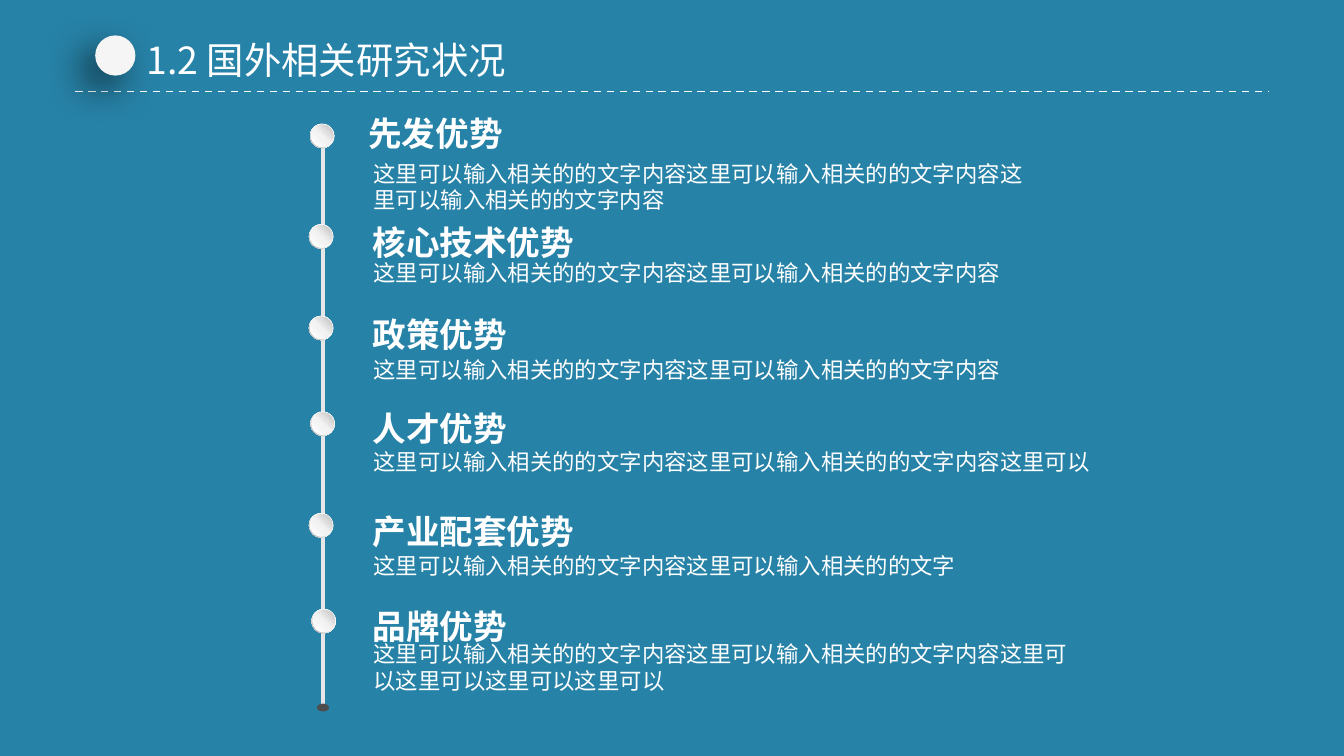
"""Build the slide on the state of research abroad, with a timeline of six advantages."""
from copy import deepcopy

from lxml import etree
from pptx import Presentation
from pptx.dml.color import RGBColor
from pptx.enum.dml import MSO_LINE
from pptx.enum.shapes import MSO_CONNECTOR, MSO_SHAPE
from pptx.enum.text import MSO_AUTO_SIZE
from pptx.oxml.ns import qn
from pptx.util import Cm, Pt

OVAL, DONUT = MSO_SHAPE.OVAL, MSO_SHAPE.DONUT
STRAIGHT, DASH = MSO_CONNECTOR.STRAIGHT, MSO_LINE.DASH
GROW = MSO_AUTO_SIZE.SHAPE_TO_FIT_TEXT
FONT = "Noto Sans CJK SC"
COLORS = {
    "background": "2782A7", "white": "FFFFFF", "dot": "F5F5F5", "axis": "E7E6E6",
    "end": "4D4D4D", "light": "F2F2F2", "ring": "A6A6A6", "ball": "BFBFBF", "shadow": "000000",
}
RGB = {name: RGBColor.from_string(value) for name, value in COLORS.items()}
PHRASE = "这里可以输入相关的的文字内容"


def add_text(text, x, y, w, h, size, bold=False, wrap=False, inset=(0.18, 0.1)):
    tf = s.shapes.add_textbox(Cm(x), Cm(y), Cm(w), Cm(h)).text_frame
    tf.word_wrap, tf.auto_size = wrap, GROW
    tf.margin_left = tf.margin_right = Cm(inset[0])
    tf.margin_top = tf.margin_bottom = Cm(inset[1])
    p = tf.paragraphs[0]
    p.text = text
    font = p.font
    font.size, font.bold, font.name = Pt(size), bold, FONT
    font.color.rgb = RGB["white"]
    latin = p._p.pPr.find(".//" + qn("a:latin"))
    latin.addnext(latin.makeelement(qn("a:ea"), {"typeface": FONT}))


def add_round(shapes, kind, x, y, w, h, colors, middle=0, angle=0):
    sp = shapes.add_shape(kind, Cm(x), Cm(y), Cm(w), Cm(h))
    sp.shadow.inherit = False
    sp.line.fill.background()
    if len(colors) == 1:
        sp.fill.solid()
        sp.fill.fore_color.rgb = RGB[colors[0]]
        return sp
    sp.fill.gradient()
    sp.fill.gradient_angle = angle
    stops = sp._element.spPr.find(".//" + qn("a:gsLst"))
    stops.append(deepcopy(stops[-1]))
    for stop, color, position in zip(sp.fill.gradient_stops, colors, (0, middle, 1)):
        stop.color.rgb, stop.position = RGB[color], position
    return sp


prs = Presentation()
prs.slide_width, prs.slide_height = Cm(25.4), Cm(14.29)
s = prs.slides.add_slide(prs.slide_layouts[6])
s.background.fill.solid()
s.background.fill.fore_color.rgb = RGB["background"]

lines = [
    (1.42, 1.73, 23.98, 1.73, "white", 1, DASH),
    (6.1, 2.36, 6.1, 13.31, "axis", 2.25, None),
]
for x1, y1, x2, y2, color, width, dash in lines:
    line = s.shapes.add_connector(STRAIGHT, Cm(x1), Cm(y1), Cm(x2), Cm(y2))
    line.line.color.rgb = RGB[color]
    line.line.width = Pt(width)
    line.line.dash_style = dash
    etree.SubElement(line._element.spPr, qn("a:effectLst"))

dot = add_round(s.shapes, OVAL, 1.8, 0.67, 0.76, 0.76, ["dot"])
effects = dot._element.spPr.find(qn("a:effectLst"))
shadow = etree.SubElement(effects, qn("a:outerShdw"), blurRad=str(Pt(20)), dist=str(Pt(10)),
                          dir="8100000", algn="tr", rotWithShape="0")
shade = etree.SubElement(shadow, qn("a:srgbClr"), val=COLORS["shadow"])
etree.SubElement(shade, qn("a:alpha"), val="60000")
add_text("1.2 国外相关研究状况", 2.52, 0.58, 7.57, 1.12, 20, inset=(0.25, 0.13))
add_round(s.shapes, OVAL, 5.99, 13.3, 0.23, 0.15, ["end"])

items = [
    ("先发优势", 6.78, 2.03, PHRASE * 3, 2.92, 12.75, 1.22, 5.86, 2.34),
    ("核心技术优势", 6.86, 4.09, PHRASE * 2, 4.8, 19.08, 0.71, 5.84, 4.24),
    ("政策优势", 6.86, 5.84, PHRASE * 2, 6.63, 19.08, 0.71, 5.84, 5.97),
    ("人才优势", 6.86, 7.62, PHRASE * 2 + "这里可以", 8.38, 17.4, 0.71, 5.87, 7.78),
    ("产业配套优势", 6.86, 9.55, PHRASE + "这里可以输入相关的的文字", 10.34, 17.4, 0.71, 5.84, 9.7),
    ("品牌优势", 6.86, 11.35, PHRASE * 2 + "这里可以" * 4, 12.01, 13.79, 1.22, 5.89, 11.51),
]
for heading, head_x, head_y, body, body_y, body_w, body_h, ball_x, ball_y in items:
    add_text(heading, head_x, head_y, 0.36 + 0.65 * len(heading), 0.97, 18, bold=True)
    add_text(body, 6.88, body_y, body_w, body_h, 12, wrap=True)
    group = s.shapes.add_group_shape()
    ring = add_round(group.shapes, DONUT, ball_x, ball_y, 0.46, 0.46,
                     ["white", "light", "ring"], 0.55, 225)
    ring.adjustments[0] = 0.05
    add_round(group.shapes, OVAL, ball_x + 0.02, ball_y + 0.02, 0.42, 0.42,
              ["white", "light", "ball"], 0.51, 45)

prs.save("out.pptx")
